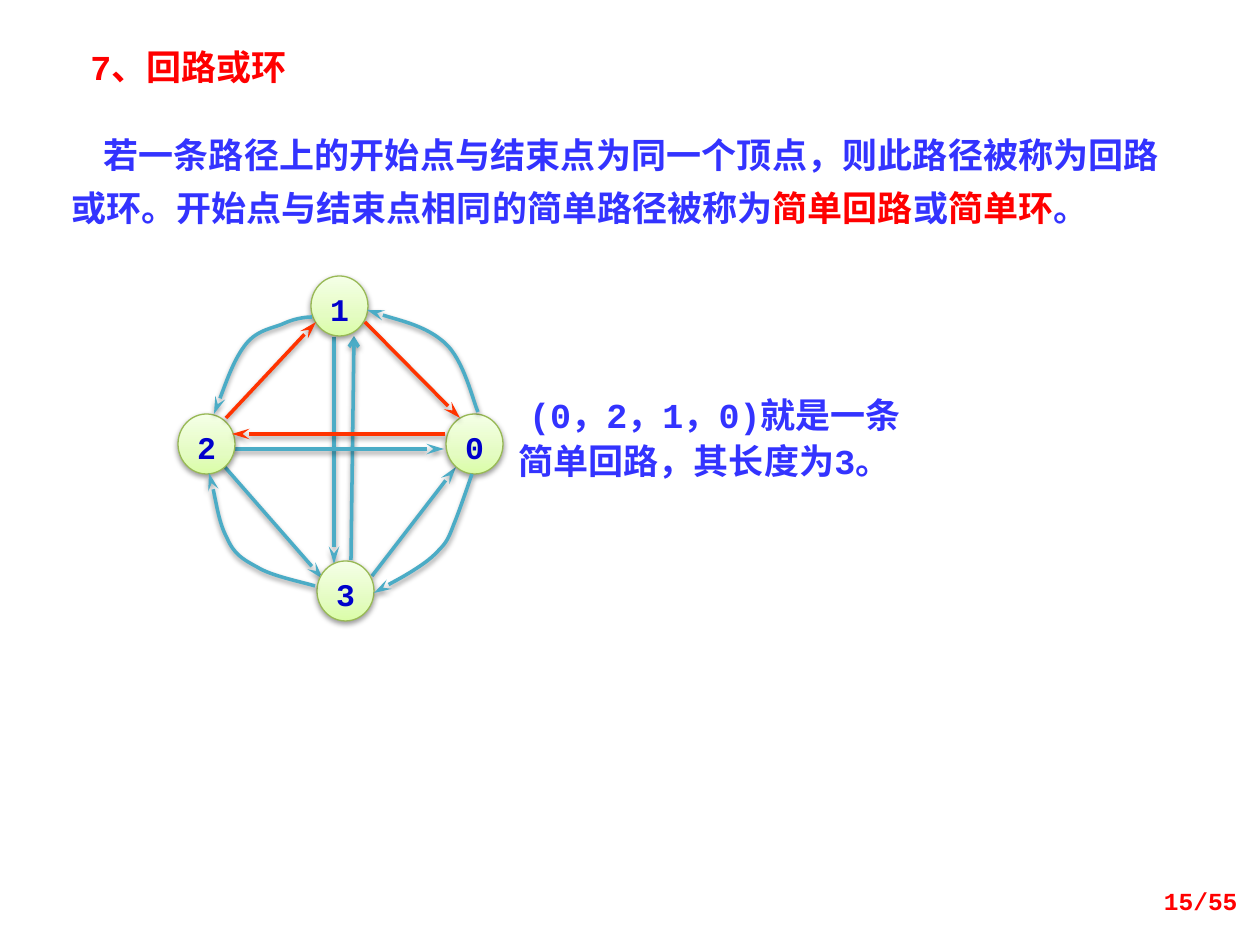
from copy import deepcopy
from typing import NamedTuple

from lxml import etree
from pptx import Presentation
from pptx.dml.color import RGBColor
from pptx.enum.shapes import MSO_CONNECTOR, MSO_SHAPE
from pptx.enum.text import MSO_ANCHOR, MSO_AUTO_SIZE, PP_ALIGN
from pptx.oxml.ns import qn
from pptx.util import Emu, Pt

LEFT, CENTER, RIGHT, JUSTIFY = PP_ALIGN.LEFT, PP_ALIGN.CENTER, PP_ALIGN.RIGHT, PP_ALIGN.JUSTIFY
TOP, MIDDLE = MSO_ANCHOR.TOP, MSO_ANCHOR.MIDDLE
FIT, NO_FIT = MSO_AUTO_SIZE.SHAPE_TO_FIT_TEXT, MSO_AUTO_SIZE.NONE
STRAIGHT, OVAL = MSO_CONNECTOR.STRAIGHT, MSO_SHAPE.OVAL

SCALE = 914400 / 126
MONO, CJK = "Courier New", "Noto Sans CJK JP"
BLUE, RED, NAVY = "3333FF", "FF0000", "0000CC"
TEAL, ORANGE, GREEN = "4BACC6", "FF3300", "98B955"
NODE_W, NODE_H = 57, 60
NODE_STOPS = ((0, "DAFDA7"), (0.35, "E4FCC2"), (1, "F5FFE7"))


class Node(NamedTuple):
    label: str
    x: int
    y: int


class Edge(NamedTuple):
    points: tuple[tuple[int, int], ...]
    color: str = TEAL
    head: str = "stealth"
    length: str = "lg"


class Span(NamedTuple):
    text: str
    color: str = BLUE
    font: str = MONO


class Label(NamedTuple):
    box: tuple[int, int, int, int]
    spans: tuple[Span, ...]
    align: PP_ALIGN = LEFT
    spacing: int = 0
    indent: int = 0
    size: int = 20
    anchor: MSO_ANCHOR = TOP
    fit: MSO_AUTO_SIZE = FIT


NODES = (Node("1", 311, 276), Node("0", 446, 414), Node("2", 178, 414), Node("3", 317, 561))

TEAL_LINES = (
    Edge(((334, 337), (334, 564))),
    Edge(((351, 560), (354, 336)), head="arrow", length="med"),
    Edge(((233, 449), (444, 449))),
    Edge(((224, 466), (323, 579))),
    Edge(((372, 576), (456, 467))),
)
CURVES = (
    Edge(((472, 474), (469, 483), (459, 512), (454, 524), (449, 537), (447, 542), (440, 549),
          (433, 557), (425, 563), (414, 570), (403, 577), (382, 588), (374, 593))),
    Edge(((312, 317), (307, 317), (296, 318), (285, 323), (275, 328), (258, 329), (246, 344),
          (234, 359), (220, 399), (214, 414))),
    Edge(((315, 586), (302, 582), (271, 576), (257, 567), (242, 559), (234, 554), (227, 538),
          (219, 523), (213, 484), (209, 473))),
    Edge(((478, 412), (473, 401), (464, 360), (445, 343), (426, 326), (383, 316), (367, 310))),
)
CYCLE_LINES = (
    Edge(((445, 434), (232, 434)), ORANGE),
    Edge(((226, 418), (316, 322)), ORANGE),
    Edge(((365, 322), (460, 418)), ORANGE),
)
LABELS = (
    Label((59, 117, 1113, 118), (
        Span("若一条路径上的开始点与结束点为同一个顶点，则此路径被称为回路或环。"
             "开始点与结束点相同的简单路径被称为"),
        Span("简单回路", RED, CJK), Span("或"), Span("简单环", RED, CJK), Span("。"),
    ), JUSTIFY, spacing=30, indent=32),
    Label((493, 384, 423, 105), (Span(" (0，2，1，0)就是一条简单回路，其长度为3。"),),
          CENTER, spacing=26),
    Label((78, 39, 413, 55), (Span("7、回路或环", RED),)),
    Label((956, 876, 294, 50), (Span("15/55", RED),), RIGHT, size=14, anchor=MIDDLE, fit=NO_FIT),
)


def px(n: float) -> Emu:
    return Emu(round(n * SCALE))


def rgb(color: str) -> RGBColor:
    return RGBColor.from_string(color)


def add_shadow(s) -> None:
    s_pr = s._element.spPr
    for old in s_pr.findall(qn("a:effectLst")):
        s_pr.remove(old)
    effects = etree.SubElement(s_pr, qn("a:effectLst"))
    shadow = etree.SubElement(effects, qn("a:outerShdw"), blurRad=str(Pt(3.1)),
                              dist=str(Pt(1.6)), dir="5400000", rotWithShape="0")
    color = etree.SubElement(shadow, qn("a:srgbClr"), val="000000")
    etree.SubElement(color, qn("a:alpha"), val="38000")


def format_run(r, size: int, color: str, font: str = MONO) -> None:
    r.font.size = Pt(size)
    r.font.bold = True
    r.font.name = font
    r.font.color.rgb = rgb(color)
    latin = r._r.get_or_add_rPr().find(qn("a:latin"))
    ea = etree.Element(qn("a:ea"), typeface=CJK)
    latin.addnext(ea)


def bend(s) -> None:
    path = s._element.spPr.find(".//" + qn("a:path"))
    segments = path.findall(qn("a:lnTo"))
    for i in range(0, len(segments), 3):
        curve = etree.SubElement(path, qn("a:cubicBezTo"))
        for segment in segments[i:i + 3]:
            curve.append(segment[0])
            path.remove(segment)


def add_edge(shapes, edge: Edge) -> None:
    start, *rest = edge.points
    if len(rest) == 1:
        s = shapes.add_connector(STRAIGHT, *map(px, start + rest[0]))
    else:
        builder = shapes.build_freeform(*start, scale=SCALE)
        builder.add_line_segments(rest, close=False)
        s = builder.convert_to_shape()
        bend(s)
        s.fill.background()
    s.line.color.rgb = rgb(edge.color)
    s.line.width = Pt(2)
    etree.SubElement(s._element.spPr.find(qn("a:ln")), qn("a:tailEnd"),
                     type=edge.head, w="med", len=edge.length)
    add_shadow(s)


def add_node(shapes, node: Node) -> None:
    s = shapes.add_shape(OVAL, px(node.x), px(node.y), px(NODE_W), px(NODE_H))
    s.fill.gradient()
    s.fill.gradient_angle = 90
    stops = s._element.spPr.find(".//" + qn("a:gsLst"))
    stops.append(deepcopy(stops[0]))
    for stop, (position, color) in zip(s.fill.gradient_stops, NODE_STOPS):
        stop.position = position
        stop.color.rgb = rgb(color)
    s.line.color.rgb = rgb(GREEN)
    s.line.width = Pt(0.75)
    add_shadow(s)
    tf = s.text_frame
    tf.margin_left = tf.margin_right = tf.margin_bottom = 0
    tf.margin_top = px(15)
    tf.vertical_anchor = TOP
    tf.text = node.label
    p = tf.paragraphs[0]
    p.alignment = CENTER
    p.line_spacing = 0.72
    format_run(p.runs[0], 18, NAVY)


def add_label(shapes, label: Label) -> None:
    tf = shapes.add_textbox(*map(px, label.box)).text_frame
    tf.word_wrap = True
    tf.auto_size = label.fit
    tf.vertical_anchor = label.anchor
    p = tf.paragraphs[0]
    p.alignment = label.align
    if label.spacing:
        p.line_spacing = Pt(label.spacing)
    if label.indent:
        p._p.get_or_add_pPr().set("indent", str(px(label.indent)))
    for span in label.spans:
        r = p.add_run()
        r.text = span.text
        format_run(r, label.size, span.color, span.font)


def main() -> None:
    prs = Presentation()
    prs.slide_width, prs.slide_height = px(1260), px(945)
    shapes = prs.slides.add_slide(prs.slide_layouts[6]).shapes
    for edge in TEAL_LINES:
        add_edge(shapes, edge)
    for node in NODES:
        add_node(shapes, node)
    for edge in CURVES + CYCLE_LINES:
        add_edge(shapes, edge)
    for label in LABELS:
        add_label(shapes, label)
    prs.save("out.pptx")


if __name__ == "__main__":
    main()
